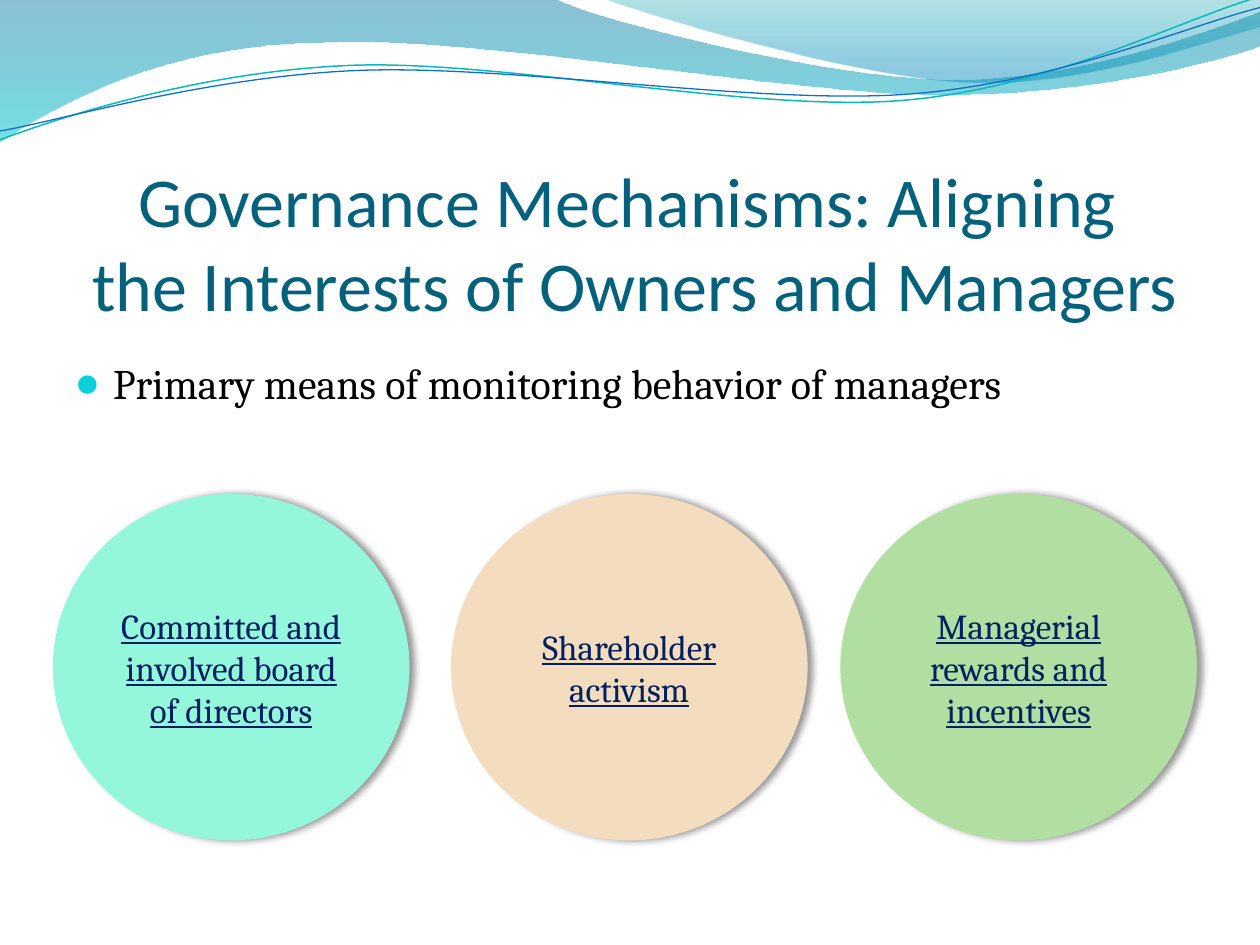
from dataclasses import dataclass

from lxml.etree import SubElement
from pptx import Presentation
from pptx.dml.color import RGBColor
from pptx.enum.shapes import MSO_SHAPE
from pptx.enum.text import MSO_ANCHOR, PP_ALIGN
from pptx.oxml import parse_xml
from pptx.oxml.ns import nsdecls, qn
from pptx.util import Inches, Pt


@dataclass(frozen=True)
class Theme:
    heading_font: str = "Calibri"
    body_font: str = "Cambria"
    title_size: int = 40
    body_size: int = 24
    circle_size: int = 20
    title: str = "04617B"
    body: str = "000000"
    bullet: str = "0BD0D9"
    circle_text: str = "002060"
    aqua: str = "94F7DC"
    sand: str = "F4DDBE"
    green: str = "B0DFA1"
    teal_line: str = "0AB8BF"
    blue_line: str = "0F6FC6"
    wave_stops: tuple = (("0074A1", 0, 45), ("00C6CF", 1, 55))
    crest_stops: tuple = (("00A1A9", 0, 30), ("008BBF", 0.8, 45))


theme = Theme()
presentation = Presentation()
presentation.slide_width = Inches(10)
presentation.slide_height = Inches(7.5)
slide = presentation.slides.add_slide(presentation.slide_layouts[6])


def add_curve(start, segments, closed):
    points = [
        (Inches(x), Inches(y))
        for segment in segments
        for x, y in zip(segment[::2], segment[1::2])
    ]
    builder = slide.shapes.build_freeform(Inches(start[0]), Inches(start[1]))
    builder.add_line_segments(points, close=closed)
    curve = builder.convert_to_shape()
    curve.shadow.inherit = False
    steps = iter(list(curve.element.spPr.iter(qn("a:lnTo"))))
    for segment in segments:
        group = [next(steps) for _ in range(len(segment) // 2)]
        if len(group) == 3:
            bezier = parse_xml(f'<a:cubicBezTo {nsdecls("a")}/>')
            group[0].addprevious(bezier)
            for step in group:
                bezier.append(step[0])
                step.getparent().remove(step)
    return curve


def add_run(paragraph, words, font_name, size, color):
    run = paragraph.add_run()
    run.text = words
    run.font.name = font_name
    run.font.size = Pt(size)
    run.font.color.rgb = RGBColor.from_string(color)
    return run


bands = [
    ((0, -0.01), [
        (4.4, -0.01),
        (4.76, 0.17, 6.64, 0.63, 7.58, 0.63),
        (8.53, 0.63, 9.58, 0.26, 10, 0.09),
        (10.01, 0.36),
        (9.83, 0.44, 8.7, 0.76, 7.46, 0.75),
        (6.22, 0.75, 3.82, 0.28, 2.57, 0.34),
        (1.29, 0.35, 0.46, 0.83, -0.01, 1.13),
    ], theme.wave_stops),
    ((4.79, -0.01), [
        (5.09, 0.11, 6.82, 0.62, 7.69, 0.65),
        (8.56, 0.69, 9.61, 0.32, 10, 0.21),
        (10, 0),
    ], theme.crest_stops),
]
for start, segments, stops in bands:
    band = add_curve(start, segments, True)
    band.line.fill.background()
    band.fill.gradient()
    band.fill.gradient_angle = 270
    for stop, (color, position, opacity) in zip(band.fill.gradient_stops, stops):
        stop.color.rgb = RGBColor.from_string(color)
        stop.position = position
    for rgb, (color, position, opacity) in zip(band.element.spPr.iter(qn("a:srgbClr")), stops):
        SubElement(rgb, qn("a:alpha"), val=str(opacity * 1000))

strands = [
    ((0, 1.11), [
        (0.48, 0.93, 1.58, 0.57, 2.77, 0.52),
        (3.95, 0.47, 5.93, 0.89, 7.13, 0.8),
        (8.33, 0.71, 9.38, 0.15, 9.98, -0.02),
    ], theme.teal_line, 0.85),
    ((0, 1.04), [
        (0.47, 0.96, 1.64, 0.61, 2.83, 0.56),
        (4.03, 0.51, 5.97, 0.83, 7.17, 0.75),
        (8.36, 0.67, 9.41, 0.21, 10, 0.06),
    ], theme.blue_line, 0.75),
]
for start, segments, color, width in strands:
    strand = add_curve(start, segments, False)
    strand.fill.background()
    strand.line.color.rgb = RGBColor.from_string(color)
    strand.line.width = Pt(width)

title = slide.shapes.add_textbox(Inches(0.5), Inches(1.33), Inches(9.08), Inches(1.25)).text_frame
title.word_wrap = True
title.vertical_anchor = MSO_ANCHOR.BOTTOM
title.margin_left = title.margin_right = title.margin_bottom = 0
title.margin_top = Inches(0.05)
heading = title.paragraphs[0]
heading.alignment = PP_ALIGN.CENTER
add_run(heading, "Governance Mechanisms: Aligning ", theme.heading_font, theme.title_size, theme.title)
heading.add_line_break()
add_run(heading, "the Interests of Owners and Managers", theme.heading_font, theme.title_size, theme.title)

body = slide.shapes.add_textbox(Inches(0.5), Inches(2.83), Inches(9), Inches(4.5)).text_frame
body.word_wrap = True
point = body.paragraphs[0]
point.line_spacing = 0.9
point.space_before = Pt(5)
add_run(point, "Primary means of monitoring behavior of managers", theme.body_font, theme.body_size, theme.body)
point_format = point._p.get_or_add_pPr()
point_format.set("marL", str(Inches(0.3)))
point_format.set("indent", str(Inches(-0.3)))
bullet_color = SubElement(point_format, qn("a:buClr"))
SubElement(bullet_color, qn("a:srgbClr"), val=theme.bullet)
SubElement(point_format, qn("a:buSzPct"), val="95000")
SubElement(point_format, qn("a:buFont"), typeface=theme.heading_font)
SubElement(point_format, qn("a:buChar"), char="●")

mechanisms = [
    (0.42, theme.aqua, "Committed and involved board of directors"),
    (3.58, theme.sand, "Shareholder activism"),
    (6.67, theme.green, "Managerial rewards and incentives"),
]
for left, color, words in mechanisms:
    circle = slide.shapes.add_shape(MSO_SHAPE.OVAL, Inches(left), Inches(3.92), Inches(2.83), Inches(2.75))
    circle.fill.solid()
    circle.fill.fore_color.rgb = RGBColor.from_string(color)
    circle.line.fill.background()
    circle.element.spPr.append(parse_xml(
        f'<a:effectLst {nsdecls("a")}><a:outerShdw blurRad="{Pt(4)}" dist="{Pt(3)}" dir="0">'
        '<a:srgbClr val="000000"><a:alpha val="40000"/></a:srgbClr></a:outerShdw></a:effectLst>'
    ))
    label = circle.text_frame
    label.word_wrap = True
    label.vertical_anchor = MSO_ANCHOR.MIDDLE
    label.paragraphs[0].alignment = PP_ALIGN.CENTER
    mechanism = add_run(label.paragraphs[0], words, theme.body_font, theme.circle_size, theme.circle_text)
    mechanism.font.underline = True

presentation.save("out.pptx")
